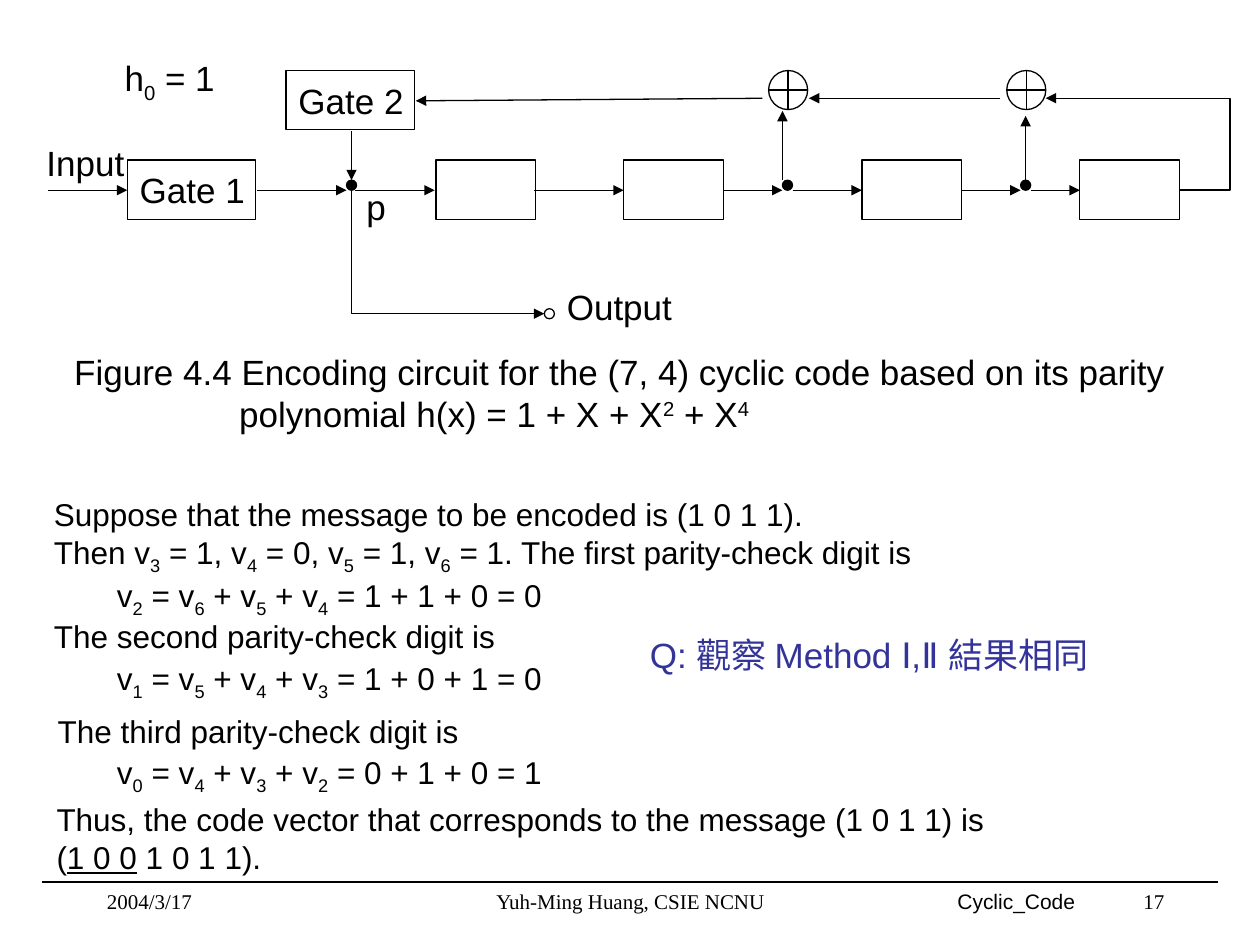
import pptx
import pptx.util
import pptx.dml.color
import pptx.enum.shapes
import pptx.enum.text
import pptx.oxml.ns
import lxml.etree

HUE = {"ink": "000000", "note": "333399"}
KIND = pptx.enum.shapes.MSO_SHAPE
LINK = pptx.enum.shapes.MSO_CONNECTOR
SIDE = pptx.enum.text.PP_ALIGN
FIT = pptx.enum.text.MSO_AUTO_SIZE
MID = pptx.enum.text.MSO_ANCHOR.MIDDLE
RGB = pptx.dml.color.RGBColor.from_string
Pt = pptx.util.Pt
qn = pptx.oxml.ns.qn

deck = pptx.Presentation()
deck.slide_width = pptx.util.Inches(10)
deck.slide_height = pptx.util.Inches(7.5)
slide = deck.slides.add_slide(deck.slide_layouts[6])

# Grid of 100 columns and 75 rows
COL = deck.slide_width / 100
ROW = deck.slide_height / 75


def text(x, y, w, h, *lines, shape=None, size=18, font="Arial", hue="ink",
         side=SIDE.LEFT, wrap=False, grow=True, dent=0):
    """Write lines; |_a| is subscript, |^a| superscript, |=a| underlined.
    dent is the indent, in columns, of the lines after the first."""
    if shape is None:
        shape = slide.shapes.add_textbox(int(x * COL), int(y * ROW),
                                         int(w * COL), int(h * ROW))
    frame = shape.text_frame
    frame.word_wrap = wrap
    frame.auto_size = FIT.SHAPE_TO_FIT_TEXT if grow else FIT.NONE
    for i, line in enumerate(lines):
        para = frame.add_paragraph() if i else frame.paragraphs[0]
        para.alignment = side
        if i and dent:
            para._p.get_or_add_pPr().set("marL", str(int(dent * COL)))
        for j, part in enumerate(line.split("|")):
            if not part:
                continue
            mark = part[0] if j % 2 else ""
            run = para.add_run()
            run.text = part[len(mark):]
            run.font.size = Pt(size)
            run.font.name = font
            run.font.color.rgb = RGB(HUE[hue])
            if mark == "=":
                run.font.underline = True
            elif mark:
                base = {"_": "-25000", "^": "30000"}[mark]
                run._r.get_or_add_rPr().set("baseline", base)
    return shape


def wire(x1, y1, x2, y2, bend=None, head=True):
    """Draw a line; bend is where an elbow turns, as a share of its width."""
    kind = LINK.STRAIGHT if bend is None else LINK.ELBOW
    line = slide.shapes.add_connector(kind, int(x1 * COL), int(y1 * ROW),
                                      int(x2 * COL), int(y2 * ROW))
    line.line.color.rgb = RGB(HUE["ink"])
    line.line.width = Pt(0.75)
    prop = line._element.spPr
    if bend is not None:
        lst = prop.find(qn("a:prstGeom")).get_or_add_avLst()
        lxml.etree.SubElement(lst, qn("a:gd"), name="adj1",
                              fmla=f"val {int(bend * 100000)}")
    if head:
        lxml.etree.SubElement(line.line._get_or_add_ln(), qn("a:tailEnd"),
                              type="triangle")
    lxml.etree.SubElement(prop, qn("a:effectLst"))


# Footer
wire(3.3, 70, 96.7, 70, head=False)
text(75, 70, 20.8, 3, "Cyclic_Code", size=12, wrap=True)
for x, w, word, side in [(7.5, 20.8, "2004/3/17", SIDE.LEFT),
                         (29.2, 41.7, "Yuh-Ming Huang, CSIE NCNU", SIDE.CENTER),
                         (74.2, 19.2, "17", SIDE.RIGHT)]:
    text(x, 70, w, 3.3, word, size=12, font="Times New Roman", side=side,
         wrap=True, grow=False)

# Circuit parts: gates, registers, adders, nodes and the output end
TOP, MAIN, BACK = 12.7, 15.1, 7.8
parts = [(22.7, 5.6, 10.2, 4.7, KIND.RECTANGLE, "Gate 2"),
         (10.1, TOP, 10.2, 4.7, KIND.RECTANGLE, "Gate 1"),
         (43.2, 24.5, 0.8, 0.8, KIND.OVAL, "")]
parts += [(x, TOP, 7.9, 4.7, KIND.RECTANGLE, "") for x in (34.6, 49.5, 68.4, 85.7)]
parts += [(x, 5.6, 3.1, 3.1, KIND.FLOWCHART_OR, "") for x in (61, 79.9)]
parts += [(x, 14.3, 0.8, 0.8, KIND.OVAL, "dot") for x in (27.5, 62.1, 81)]
for x, y, w, h, kind, word in parts:
    part = slide.shapes.add_shape(kind, int(x * COL), int(y * ROW),
                                  int(w * COL), int(h * ROW))
    part.shadow.inherit = False
    part.line.color.rgb = RGB(HUE["ink"])
    part.line.width = Pt(0.75)
    if word == "dot":
        part.fill.solid()
        part.fill.fore_color.rgb = RGB(HUE["ink"])
    else:
        part.fill.background()
        if word:
            part.text_frame.vertical_anchor = MID
            text(x, y, w, h, word, shape=part, size=20, grow=False)

# Main row of wires
for x1, x2 in [(3.8, 10.1), (20.4, 27.5), (28.2, 34.5), (42.4, 49.5),
               (57.4, 62.1), (62.9, 68.4), (76.3, 81), (81.8, 85.7)]:
    wire(x1, MAIN, x2, MAIN)

# Feedback wires and the output branch
wire(27.9, 10.4, 27.9, 14.3)
wire(62.1, 14.3, 62.1, 8.8)
wire(81.4, 14.3, 81.4, 9.2)
wire(79.4, BACK, 64.2, BACK)
wire(60.5, BACK, 33, 8)
wire(93.6, MAIN, 83, BACK, bend=-0.38)
wire(27.9, MAIN, 43.2, 24.9, bend=0)

# Circuit labels and caption
for x, y, w, word in [(8.9, 4, 9.5, "h|_0| = 1"), (28.1, 14.2, 3.7, "p"),
                      (44, 22.2, 10.8, "Output"), (2.7, 10.7, 8.4, "Input")]:
    text(x, y, w, 4.4, word, size=20)
text(4.9, 27.3, 95.1, 7.7,
     "Figure 4.4 Encoding circuit for the (7, 4) cyclic code based on its parity",
     "polynomial h(x) = 1 + X + X|^2| + X|^4|", size=20, wrap=True, dent=13.1)

# Worked example
text(3.3, 38.8, 94.7, 7.4, "Suppose that the message to be encoded is (1 0 1 1).",
     "Then v|_3| = 1, v|_4| = 0, v|_5| = 1, v|_6| = 1. The first parity-check digit is",
     wrap=True)
text(3.3, 48.5, 37.7, 4, "The second parity-check digit is")
text(3.6, 56, 34.5, 4, "The third parity-check digit is")
for y, line in [(45.2, "v|_2| = v|_6| + v|_5| + v|_4| = 1 + 1 + 0 = 0"),
                (51.8, "v|_1| = v|_5| + v|_4| + v|_3| = 1 + 0 + 1 = 0"),
                (59.3, "v|_0| = v|_4| + v|_3| + v|_2| = 0 + 1 + 0 = 1")]:
    text(8.3, y, 35.7, 4.4, line)
text(3.5, 63, 85.1, 7,
     "Thus, the code vector that corresponds to the message (1 0 1 1) is",
     "(|=1 0 0| 1 0 1 1).", wrap=True)
text(50.6, 49.8, 42.3, 4.4, "Q: 觀察 Method Ⅰ,Ⅱ 結果相同", size=20, hue="note")

deck.save("out.pptx")
